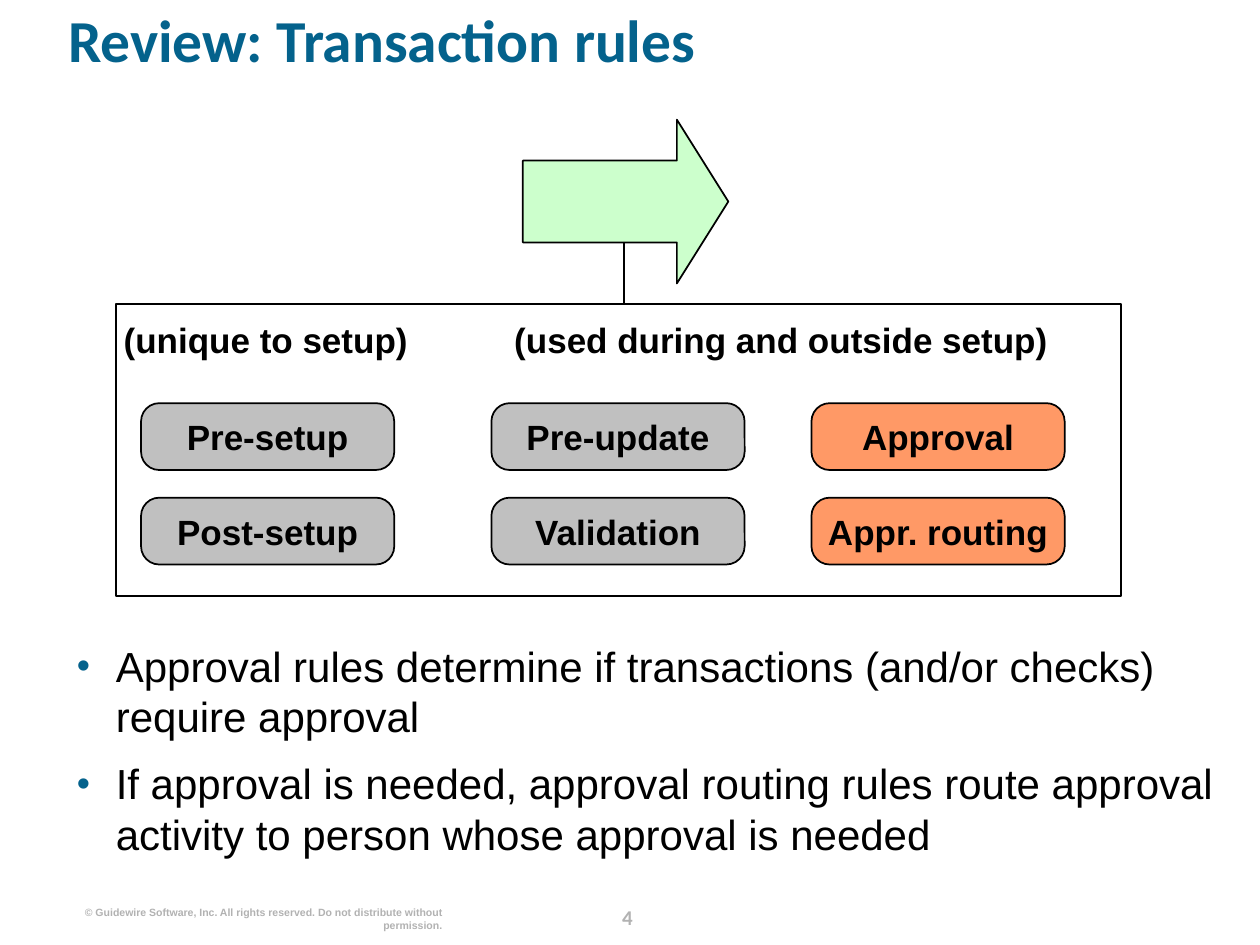
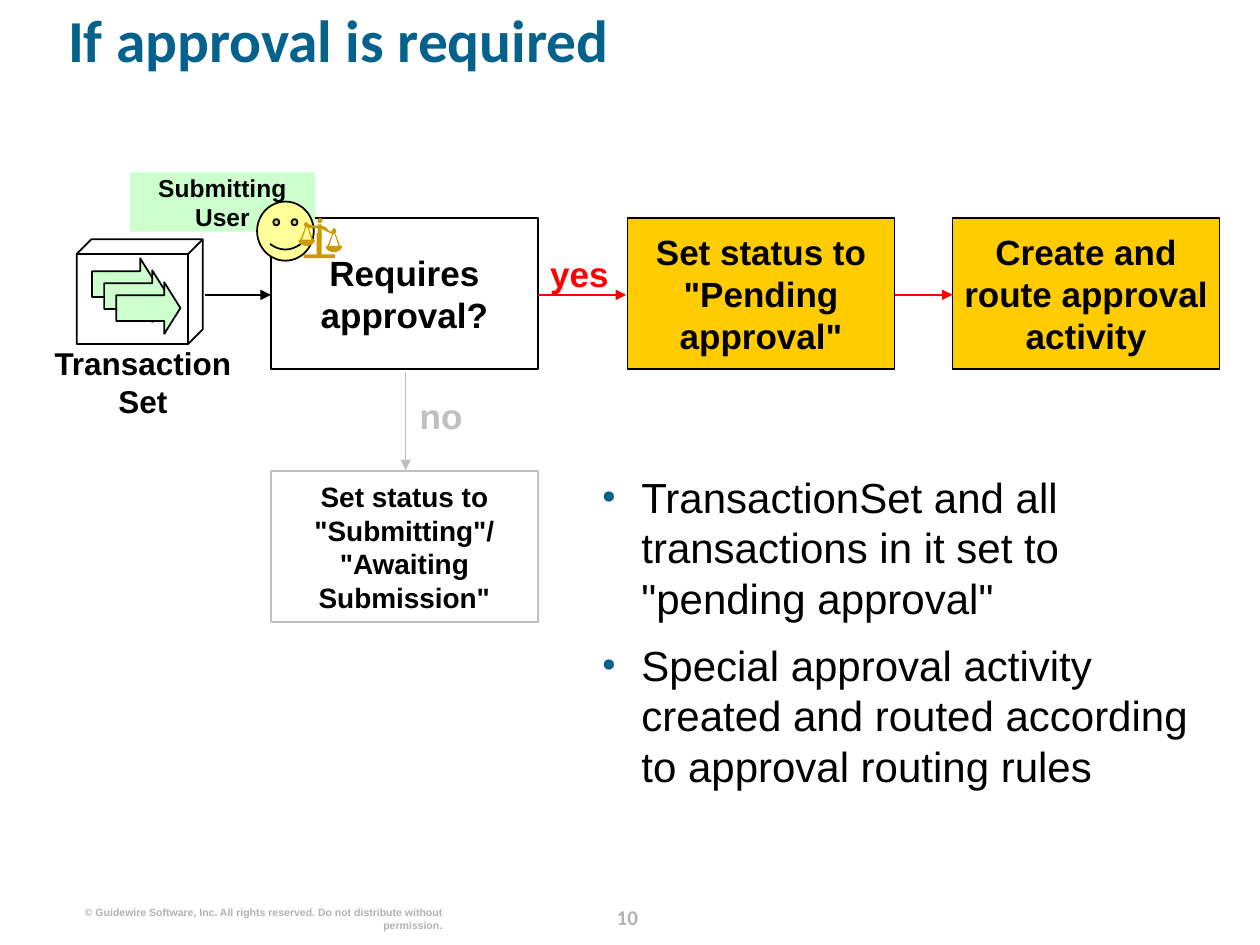
from dataclasses import dataclass
from math import cos, pi, sin

from lxml import etree
from pptx import Presentation
from pptx import util as u
from pptx.dml import color
from pptx.enum import shapes, text
from pptx.oxml import ns

Pt = u.Pt
KIND = shapes.MSO_SHAPE
ALIGN = {"l": text.PP_ALIGN.LEFT, "c": text.PP_ALIGN.CENTER, "r": text.PP_ALIGN.RIGHT}


@dataclass(frozen=True)
class Theme:
    blue: str = "04628C"
    black: str = "000000"
    red: str = "FF0000"
    pale: str = "B2B2B2"
    gray: str = "C0C0C0"
    orange: str = "FF9966"
    gold: str = "FFCC00"
    green: str = "CCFFCC"
    yellow: str = "FFFF99"
    brass: str = "CC9900"
    head: str = "Calibri"
    body: str = "Arial"
    title: int = 34
    bullet: int = 24
    label: int = 20
    name: int = 18
    note: int = 16
    user: int = 14
    page: int = 12
    legal: int = 6


T = Theme()

# Content
LEGAL = "© Guidewire Software, Inc. All rights reserved. Do not distribute without permission."
RULES = {
    "title": "Review: Transaction rules",
    "page": "4",
    "heads": [("(unique to setup)", 65.5, 172.8), ("(used during and outside setup)", 288, 316.8)],
    "cols": [
        (80.6, T.gray, ["Pre-setup", "Post-setup"]),
        (280.8, T.gray, ["Pre-update", "Validation"]),
        (463.7, T.orange, ["Approval", "Appr. routing"]),
    ],
    "points": [
        "Approval rules determine if transactions (and/or checks) require approval",
        "If approval is needed, approval routing rules route approval activity "
        "to person whose approval is needed",
    ],
}
FLOW = {
    "title": "If approval is required",
    "page": "10",
    "steps": [  # text, left, top, fill, line, size
        ("Requires approval?", 154.8, 124.6, None, T.black, T.label),
        ('Set status to "Pending approval"', 358.6, 124.6, T.gold, T.black, T.label),
        ("Create and route approval activity", 544.3, 124.6, T.gold, T.black, T.label),
        ('Set status to "Submitting"/\v"Awaiting Submission"', 154.8, 269.3, None, T.gray, T.note),
    ],
    "links": [  # from, to, colour
        ((117.4, 168.5), (154.8, 168.5), T.black),
        ((307.4, 168.5), (357.8, 168.5), T.red),
        ((511.2, 168.5), (544.3, 168.5), T.red),
        ((231.8, 212.4), (231.8, 268.6), T.gray),
    ],
    "tags": [  # text, box, format
        ("yes", (307.4, 144, 47.5, 24), dict(ink=T.red, align="c")),
        ("no", (239.8, 225.4, 29.5, 24), dict(ink=T.gray)),
        ("Transaction\vSet", (28.8, 196.6, 105.8, 43.2), dict(size=T.name, align="c")),
    ],
    "points": [
        'TransactionSet and all transactions in it set to "pending approval"',
        "Special approval activity created and routed according to approval routing rules",
    ],
}
BEAM = [
    (173.5, 128.2), (175, 126.7), (176.4, 128.2), (179.3, 128.9), (182.9, 128.9),
    (185.8, 129.6), (187.9, 131.8), (189.4, 132.5), (190, 131), (191.5, 130.3),
    (192.2, 132.5), (190.8, 133.9), (188.6, 133.2), (185.8, 131.8), (182.9, 130.3),
    (177.1, 130.3), (174.2, 129.6),
]
HUBS = [(175.3, 128.9), (190.8, 132.5)]


# Helpers
def rgb(code):
    return color.RGBColor.from_string(code)


def sub(node, tag, **attrs):
    return etree.SubElement(node, ns.qn(tag), attrs)


def write(frame, *lines, size=T.label, ink=T.black, font=T.body, bold=True,
          align="l", lead=None, gap=0, inset=0, mid=False, dots=False):
    """Fill a text frame, one paragraph for each line."""
    frame.word_wrap = True
    frame.margin_left = frame.margin_right = Pt(inset)
    frame.margin_top = frame.margin_bottom = 0
    frame.vertical_anchor = text.MSO_ANCHOR.MIDDLE if mid else text.MSO_ANCHOR.TOP
    for i, line in enumerate(lines):
        para = frame.add_paragraph() if i else frame.paragraphs[0]
        para.text = line
        if dots:
            props = para._p.get_or_add_pPr()
            props.set("marL", str(Pt(22.3)))
            props.set("indent", str(-Pt(22.3)))
            sub(sub(props, "a:buClr"), "a:srgbClr", val=T.blue)
            sub(props, "a:buSzPct", val="90000")
            sub(props, "a:buFont", typeface=T.body)
            sub(props, "a:buChar", char="•")
        para.alignment = ALIGN[align]
        para.line_spacing = lead or Pt(1.2 * size)
        para.space_before = Pt(gap if i else 0)
        for run in para.runs:
            run.font.size, run.font.bold, run.font.name = Pt(size), bold, font
            run.font.color.rgb = rgb(ink)


def label(slide, box, *lines, **form):
    write(slide.shapes.add_textbox(*map(Pt, box)).text_frame, *lines, **form)


def paint(item, fill, line):
    item.shadow.inherit = False
    if fill:
        item.fill.solid()
        item.fill.fore_color.rgb = rgb(fill)
    else:
        item.fill.background()
    if line:
        item.line.color.rgb = rgb(line)
        item.line.width = Pt(1)
    else:
        item.line.fill.background()


def shape(slide, kind, box, fill=None, line=T.black, adj=(), words=None, size=T.label):
    item = slide.shapes.add_shape(kind, *map(Pt, box))
    paint(item, fill, line)
    for i, val in enumerate(adj):
        item.adjustments[i] = val
    if words:
        write(item.text_frame, words, size=size, align="c", inset=3.5, mid=True)


def link(slide, start, end, ink, arrow=True):
    item = slide.shapes.add_connector(
        shapes.MSO_CONNECTOR.STRAIGHT, *map(Pt, (*start, *end)))
    item.line.color.rgb = rgb(ink)
    item.line.width = Pt(1)
    if arrow:
        sub(item.line._get_or_add_ln(), "a:tailEnd", type="triangle")
    sub(item._element.spPr, "a:effectLst")


def outline(slide, dots):
    dots = [(Pt(x), Pt(y)) for x, y in dots]
    form = slide.shapes.build_freeform(*dots[0])
    form.add_line_segments(dots[1:], close=True)
    paint(form.convert_to_shape(), T.brass, None)


def bullets(slide, box, lines):
    label(slide, box, *lines, size=T.bullet, bold=False, gap=9.6, dots=True)


def start(deck, data):
    """Add a slide with the shared title and footer."""
    slide = deck.slides.add_slide(deck.slide_layouts[5])
    title = slide.shapes.title
    title.left, title.top, title.width, title.height = map(Pt, (38.9, 9.4, 655.2, 58.3))
    write(title.text_frame, data["title"], size=T.title, ink=T.blue, font=T.head, lead=0.8)
    label(slide, (338, 513.4, 41, 18), data["page"], size=T.page, ink=T.pale,
          font=T.head, align="c", lead=Pt(18))
    label(slide, (43.9, 517.7, 208.8, 14.4), LEGAL, size=T.legal, ink=T.pale, align="r")
    return slide


# Slides
def rules(deck):
    slide = start(deck, RULES)
    shape(slide, KIND.RECTANGLE, (66.2, 173.5, 574.6, 167))
    link(slide, (356.4, 173.5), (356.4, 138.2), T.black, arrow=False)
    shape(slide, KIND.RIGHT_ARROW, (298.8, 68.4, 117.4, 93.6), T.green, adj=(0.5, 0.314))
    for words, left, width in RULES["heads"]:
        label(slide, (left, 182.2, width, 24), words, align="c")
    for left, fill, names in RULES["cols"]:
        for row, name in enumerate(names):
            shape(slide, KIND.ROUNDED_RECTANGLE, (left, 230.4 + 54 * row, 144.7, 38.2),
                  fill, adj=(0.273,), words=name)
    bullets(slide, (43.9, 365.8, 655.2, 136), RULES["points"])


def scale(slide):
    """Balance scale: beam, two pans on chains, post and foot."""
    outline(slide, BEAM)
    for x, y in HUBS:
        rim = y + 8
        outline(slide, [(x + 4.7 * cos(k * pi / 12), rim + 3.6 * sin(k * pi / 12))
                        for k in range(13)])
        for side in (-1, 1):
            outline(slide, [(x, y), (x + 0.5 * side, y),
                            (x + 3.6 * side, rim), (x + 2.9 * side, rim + 0.6)])
    for box in [(181.6, 128.2, 2.2, 7.9), (180.9, 133.2, 2.9, 13), (173.5, 145.4, 18, 2.2)]:
        shape(slide, KIND.RECTANGLE, box, T.brass, None)
    shape(slide, KIND.OVAL, (181.4, 124.6, 2.9, 2.9), T.brass, None)


def flow(deck):
    slide = start(deck, FLOW)
    # Transaction set
    for k in range(3):
        shape(slide, KIND.RIGHT_ARROW, (52.6 + 6.9 * k, 147.6 + 6.85 * k, 36.7, 29.5),
              T.green, adj=(0.5, 0.313))
    shape(slide, KIND.CUBE, (43.9, 136.8, 72, 59.8), adj=(0.139,))
    # Steps and arrows
    for words, left, top, fill, line, size in FLOW["steps"]:
        shape(slide, KIND.RECTANGLE, (left, top, 152.6, 86.4), fill, line,
              words=words, size=size)
    for begin, end, ink in FLOW["links"]:
        link(slide, begin, end, ink)
    for words, box, form in FLOW["tags"]:
        label(slide, box, words, **form)
    # Submitting user
    shape(slide, KIND.RECTANGLE, (74.2, 98.6, 105.8, 33.8), T.green, None,
          words="Submitting User", size=T.user)
    shape(slide, KIND.SMILEY_FACE, (146.9, 115.2, 32.4, 33.8), T.yellow, adj=(0.047,))
    scale(slide)
    bullets(slide, (344.2, 269.3, 354.2, 233.3), FLOW["points"])


def main():
    deck = Presentation()
    deck.slide_width, deck.slide_height = Pt(720), Pt(540)
    rules(deck)
    flow(deck)
    deck.save("out.pptx")


if __name__ == "__main__":
    main()
